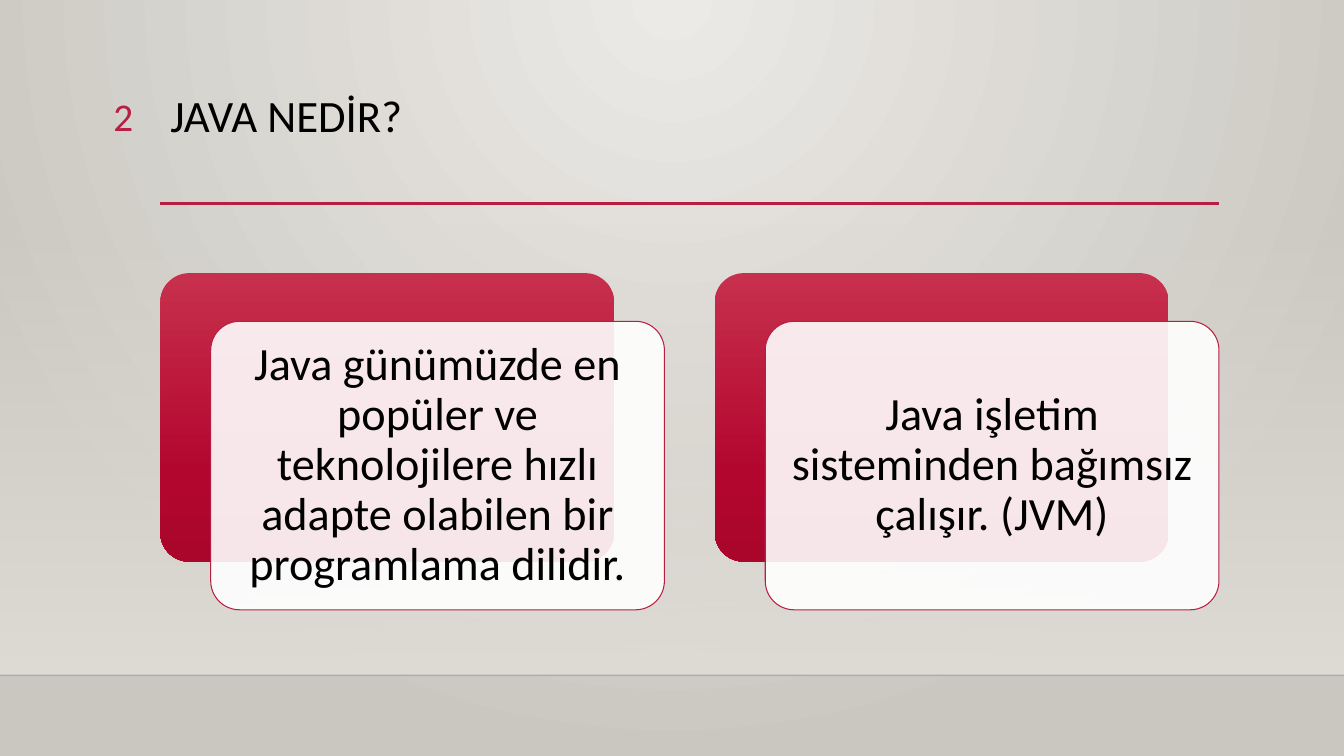
from dataclasses import dataclass

from lxml import etree
from pptx import Presentation
from pptx.dml.color import RGBColor
from pptx.enum.shapes import MSO_CONNECTOR, MSO_SHAPE
from pptx.enum.text import MSO_ANCHOR, MSO_AUTO_SIZE, PP_ALIGN
from pptx.oxml.ns import qn
from pptx.util import Inches, Pt

STRAIGHT = MSO_CONNECTOR.STRAIGHT
RECT, ROUND = MSO_SHAPE.RECTANGLE, MSO_SHAPE.ROUNDED_RECTANGLE
TOP, MIDDLE = MSO_ANCHOR.TOP, MSO_ANCHOR.MIDDLE
LEFT, CENTER, RIGHT = PP_ALIGN.LEFT, PP_ALIGN.CENTER, PP_ALIGN.RIGHT


@dataclass(frozen=True)
class Theme:
    font: str = "Calibri"
    ink: str = "000000"
    accent: str = "B71E42"
    white: str = "FFFFFF"
    wall: tuple = ((0, "ECEAE7", 100), (100, "CAC7C1", 100))
    glow: tuple = ((0, "DFDBD5", 0), (100, "DFDBD5", 100))
    panel: tuple = ((0, "C7304C", 100), (69, "B3062F", 100), (100, "AA062C", 100))
    title: int = 32
    number: int = 28
    body: int = 33


T = Theme()
W, H = 13.33, 7.5
MARGIN, CONTENT_W = 1.59, 10.5
RULE_Y, FLOOR_Y = 2.02, 6.7
CARDS = [
    "Java günümüzde en popüler ve teknolojilere hızlı adapte olabilen bir programlama dilidir.",
    "Java işletim sisteminden bağımsız çalışır. (JVM)",
]


def add_alpha(color, percent):
    etree.SubElement(color, qn("a:alpha"), val=str(percent * 1000))


def set_gradient(fill, props, stops, circle=False):
    fill.gradient()
    grad = props.find(qn("a:gradFill"))
    for child in list(grad):
        grad.remove(child)
    stop_list = etree.SubElement(grad, qn("a:gsLst"))
    for pos, color, alpha in stops:
        gs = etree.SubElement(stop_list, qn("a:gs"), pos=str(pos * 1000))
        clr = etree.SubElement(gs, qn("a:srgbClr"), val=color)
        if alpha < 100:
            add_alpha(clr, alpha)
    if circle:
        shade = etree.SubElement(grad, qn("a:path"), path="circle")
        etree.SubElement(shade, qn("a:fillToRect"), l="43000", t="0", r="43000", b="100000")
    else:
        etree.SubElement(grad, qn("a:lin"), ang="5400000", scaled="0")


def add_box(s, kind, box):
    sp = s.shapes.add_shape(kind, *map(Inches, box))
    sp.shadow.inherit = False
    sp.line.fill.background()
    if kind == ROUND:
        sp.adjustments[0] = 0.1
    return sp


def add_rule(s, x, y, width, color, weight, alpha=100):
    line = s.shapes.add_connector(STRAIGHT, *map(Inches, (x, y, x + width, y)))
    line.line.color.rgb = RGBColor.from_string(color)
    line.line.width = Pt(weight)
    props = line._element.spPr
    if alpha < 100:
        add_alpha(props.find(".//" + qn("a:srgbClr")), alpha)
    etree.SubElement(props, qn("a:effectLst"))


def write(sp, text, size, color, align, anchor=TOP, spacing=1.0, inset=None):
    tf = sp.text_frame
    frame = {"word_wrap": True, "auto_size": MSO_AUTO_SIZE.NONE, "vertical_anchor": anchor}
    if inset is not None:
        frame.update({f"margin_{side}": Inches(inset) for side in ("left", "top", "right", "bottom")})
    for name, value in frame.items():
        setattr(tf, name, value)
    p = tf.paragraphs[0]
    p.alignment, p.line_spacing = align, spacing
    r = p.add_run()
    r.text = text
    for name, value in {"name": T.font, "size": Pt(size), "bold": False}.items():
        setattr(r.font, name, value)
    r.font.color.rgb = RGBColor.from_string(color)


def draw_backdrop(s):
    fill = s.background.fill
    fill.solid()
    set_gradient(fill, s._element.find(".//" + qn("p:bgPr")), T.wall, circle=True)
    glow_top = 2.21
    glow = add_box(s, RECT, (0, glow_top, W, FLOOR_Y - glow_top))
    set_gradient(glow.fill, glow._element.spPr, T.glow)
    add_rule(s, 0, FLOOR_Y, W, T.ink, 1, alpha=20)


def draw_header(s, x, y, width, height):
    add_rule(s, x, RULE_Y, width, T.accent, 2.5)
    title = s.shapes.title
    for name, value in zip(("left", "top", "width", "height"), (x, y, width, height)):
        setattr(title, name, Inches(value))
    write(title, "JAVA NEDİR?", T.title, T.ink, LEFT, spacing=0.9)
    number = s.shapes.add_textbox(*map(Inches, (x - 1.06, y - 0.01, 0.89, 0.55)))
    write(number, "2", T.number, T.accent, RIGHT)


def draw_card(s, text, x, y, width, height):
    shift_x, shift_y = width * 0.1, height * 0.143
    w, h = width - shift_x, height - shift_y
    panel = add_box(s, ROUND, (x, y, w, h))
    set_gradient(panel.fill, panel._element.spPr, T.panel)
    card = add_box(s, ROUND, (x + shift_x, y + shift_y, w, h))
    card.fill.solid()
    card.fill.fore_color.rgb = RGBColor.from_string(T.white)
    add_alpha(card._element.spPr.find(qn("a:solidFill"))[0], 90)
    card.line.color.rgb = RGBColor.from_string(T.accent)
    card.line.width = Pt(0.75)
    write(card, text, T.body, T.ink, CENTER, MIDDLE, 0.9, inset=0.14)


def draw_cards(s, x, y, width, height):
    gap = 0.5
    w = (width - gap * (len(CARDS) - 1)) / len(CARDS)
    for i, text in enumerate(CARDS):
        draw_card(s, text, x + i * (w + gap), y, w, height)


def main():
    prs = Presentation()
    prs.slide_width, prs.slide_height = Inches(W), Inches(H)
    s = prs.slides.add_slide(prs.slide_layouts[5])
    draw_backdrop(s)
    draw_header(s, MARGIN, 0.88, CONTENT_W, 1.15)
    draw_cards(s, MARGIN, 2.71, CONTENT_W, 3.34)
    prs.save("out.pptx")


if __name__ == "__main__":
    main()
